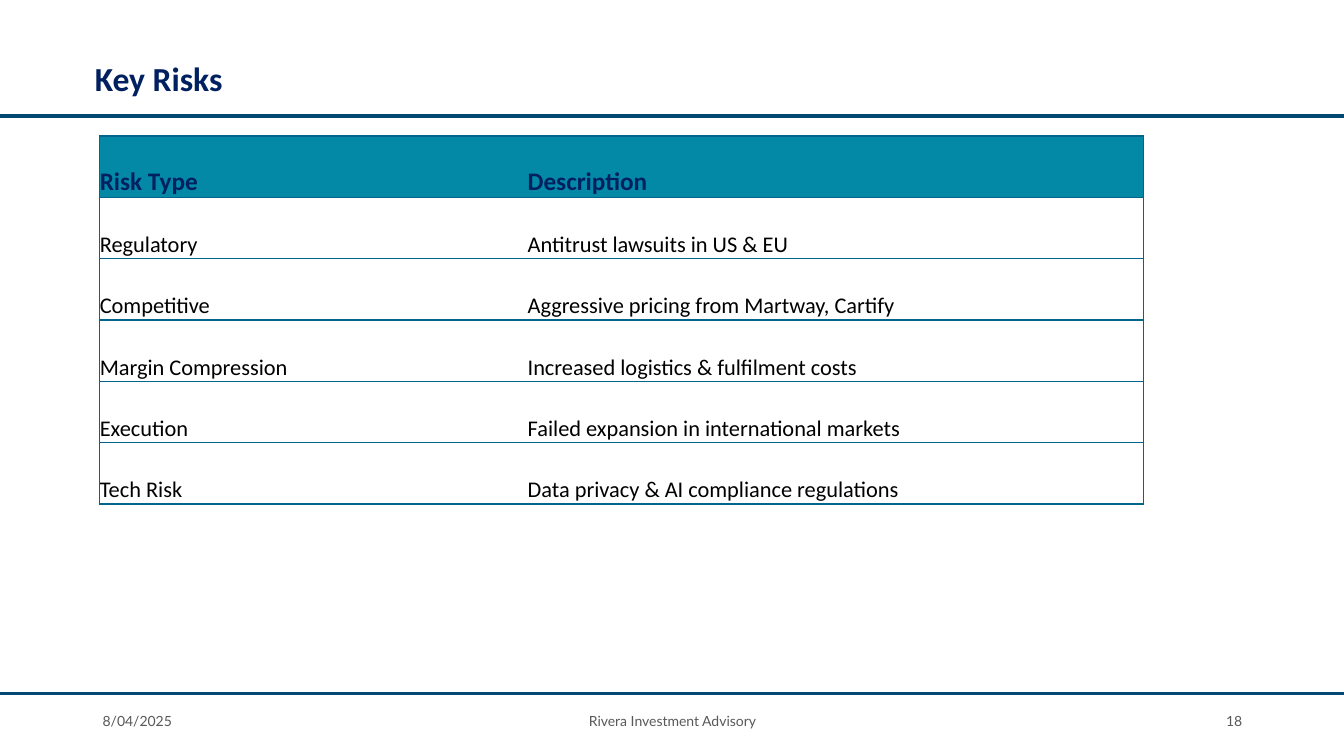
import pptx
import pptx.dml.color
import pptx.enum.shapes
import pptx.enum.text
import pptx.oxml.ns
import pptx.util
from lxml import etree

Inches = pptx.util.Inches
ANCHOR = pptx.enum.text.MSO_ANCHOR
ALIGN = pptx.enum.text.PP_ALIGN

SLIDE_WIDTH, SLIDE_HEIGHT = 13.33, 7.5
NAVY, RULE_BLUE, BORDER_BLUE, TEAL = "002060", "024873", "03658C", "0388A6"

TITLE_FONT = {"name": "Calibri", "size": 24, "bold": True, "color": NAVY}
HEADER_FONT = {"name": "Calibri", "size": 18, "bold": True, "color": NAVY}
BODY_FONT = {"name": "Calibri", "size": 16, "bold": False, "color": "000000"}
FOOTER_FONT = {"name": "Lato", "size": 10, "bold": False, "color": "595959"}

RISKS = [
    ("Risk Type", "Description"),
    ("Regulatory", "Antitrust lawsuits in US & EU"),
    ("Competitive", "Aggressive pricing from Martway, Cartify"),
    ("Margin Compression", "Increased logistics & fulfilment costs"),
    ("Execution", "Failed expansion in international markets"),
    ("Tech Risk", "Data privacy & AI compliance regulations"),
]
COLUMN_SHARES = (0.41, 0.315, 0.275)


def color(value):
    return pptx.dml.color.RGBColor.from_string(value)


def write(frame, text, font, align=ALIGN.LEFT):
    para = frame.paragraphs[0]
    para.alignment = align
    span = para.add_run()
    span.text = text
    for name, value in font.items():
        if name == "color":
            span.font.color.rgb = color(value)
        elif name == "size":
            span.font.size = pptx.util.Pt(value)
        else:
            setattr(span.font, name, value)
    return para


def set_border(cell, side, value):
    """Draw one cell edge (L, R, T or B); a value of None hides it."""
    properties = cell._tc.get_or_add_tcPr()
    qn = pptx.oxml.ns.qn
    line = etree.SubElement(properties, qn(f"a:ln{side}"), w=str(pptx.util.Pt(1)))
    if value is None:
        etree.SubElement(line, qn("a:noFill"))
    else:
        fill = etree.SubElement(line, qn("a:solidFill"))
        etree.SubElement(fill, qn("a:srgbClr"), val=value)


def add_title(page, text, left, top, width, height):
    title = page.shapes.title
    title.left, title.top = Inches(left), Inches(top)
    title.width, title.height = Inches(width), Inches(height)
    title.text_frame.vertical_anchor = ANCHOR.MIDDLE
    para = write(title.text_frame, text, TITLE_FONT)
    para.line_spacing = 0.9


def add_rule(page, top):
    line = page.shapes.add_connector(
        pptx.enum.shapes.MSO_CONNECTOR.STRAIGHT,
        0, Inches(top), Inches(SLIDE_WIDTH), Inches(top))
    line.line.color.rgb = color(RULE_BLUE)
    line.line.width = pptx.util.Pt(2.5)
    etree.SubElement(line._element.spPr, pptx.oxml.ns.qn("a:effectLst"))


def format_cell(cell, fill, left_edge, right_edge):
    cell.vertical_anchor = ANCHOR.BOTTOM
    for side in ("left", "right", "top", "bottom"):
        setattr(cell, f"margin_{side}", 0)
    set_border(cell, "L", BORDER_BLUE if left_edge else None)
    set_border(cell, "R", BORDER_BLUE if right_edge else None)
    set_border(cell, "T", BORDER_BLUE)
    set_border(cell, "B", BORDER_BLUE)
    cell.fill.solid()
    cell.fill.fore_color.rgb = color(fill)


def add_risk_table(page, left, top, width, height):
    """Descriptions below the header span the last two columns."""
    last = len(COLUMN_SHARES) - 1
    table = page.shapes.add_table(
        len(RISKS), len(COLUMN_SHARES),
        Inches(left), Inches(top), Inches(width), Inches(height)).table
    for column, share in zip(table.columns, COLUMN_SHARES):
        column.width = Inches(width * share)
    for row, texts in enumerate(RISKS):
        is_header = row == 0
        if not is_header:
            table.cell(row, 1).merge(table.cell(row, last))
        for index in range(len(COLUMN_SHARES)):
            cell = table.cell(row, index)
            format_cell(cell, TEAL if is_header else "FFFFFF",
                        index == 0, index == last or cell.is_merge_origin)
        for index, text in enumerate(texts):
            write(table.cell(row, index).text_frame, text,
                  HEADER_FONT if is_header else BODY_FONT)


def add_footer(page, left, top, width, height):
    side_width = 3
    middle_width = 4.5
    parts = [
        ("8/04/2025", left, side_width, ALIGN.LEFT),
        ("Rivera Investment Advisory", left + (width - middle_width) / 2,
         middle_width, ALIGN.CENTER),
        ("18", left + width - side_width, side_width, ALIGN.RIGHT),
    ]
    for text, part_left, part_width, align in parts:
        box = page.shapes.add_textbox(
            Inches(part_left), Inches(top), Inches(part_width), Inches(height))
        box.text_frame.word_wrap = True
        box.text_frame.vertical_anchor = ANCHOR.MIDDLE
        write(box.text_frame, text, FOOTER_FONT, align)


def main():
    deck = pptx.Presentation()
    deck.slide_width, deck.slide_height = Inches(SLIDE_WIDTH), Inches(SLIDE_HEIGHT)
    title_only = deck.slide_layouts.get_by_name("Title Only")
    page = deck.slides.add_slide(title_only)
    add_title(page, "Key Risks", 0.84, 0.4, 6.01, 0.79)
    add_footer(page, 0.92, 6.95, 11.5, 0.4)
    add_risk_table(page, 0.99, 1.35, 10.35, 3.65)
    add_rule(page, 1.15)
    add_rule(page, 6.88)
    deck.save("out.pptx")


if __name__ == "__main__":
    main()
